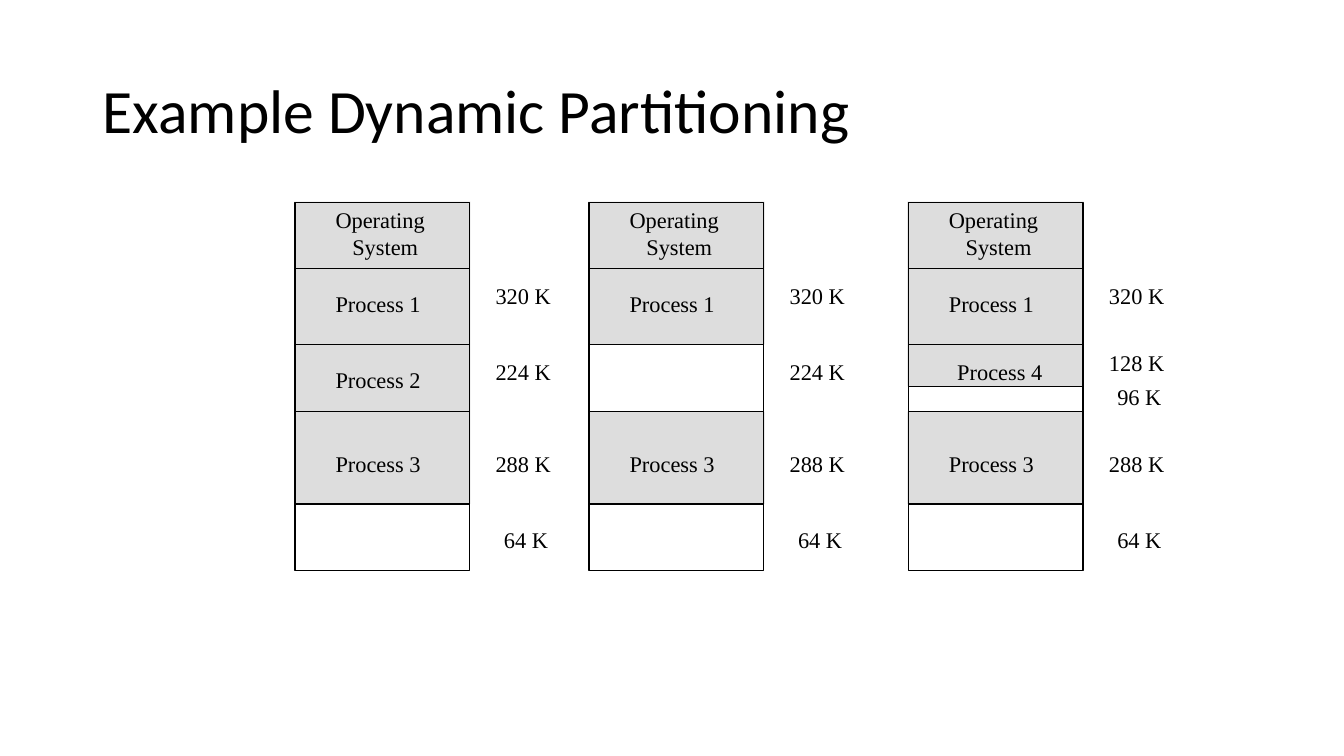
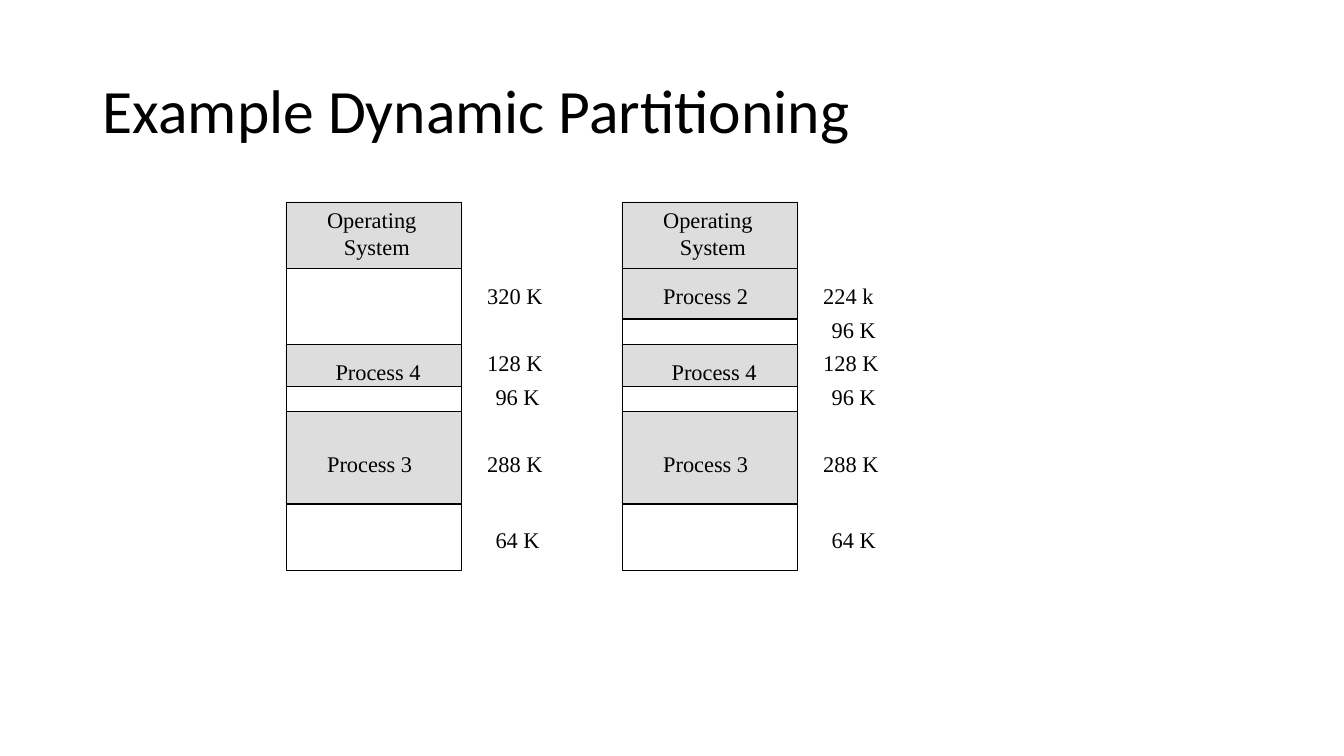
from typing import NamedTuple

from pptx import Presentation
from pptx.dml.color import RGBColor
from pptx.enum.shapes import MSO_CONNECTOR, MSO_SHAPE
from pptx.enum.text import MSO_ANCHOR
from pptx.oxml.ns import qn
from pptx.util import Inches, Pt
from lxml import etree

BLACK, USED = "000000", "DDDDDD"
TITLE = "Example Dynamic Partitioning"
TITLE_STYLE = {"name": "Calibri", "size": Pt(44)}
LABEL_STYLE = {"name": "Times New Roman", "size": Pt(16)}

# Memory columns sit on a grid of twelve units to the inch.
UNIT = 1 / 12
TOP, WIDTH = 24, 21
NAME_DX, SIZE_DX = 3.75, 22.8
EDGE = 0.1  # inset of the outline from the grid


class Block(NamedTuple):
    """A stretch of memory; label offsets are in units from its top."""
    rows: int
    name: str = ""
    name_dy: int = 0
    size: str = ""
    size_dy: int = 0
    name_shift: int = 0


OS = Block(8, "Operating\nSystem")
P1 = Block(9, "Process 1", 2, "320 K", 1)
P2 = Block(8, "Process 2", 2, "224 K", 1)
P2_MOVED = Block(6, "Process 2", 1, "224 k", 1)
P3 = Block(11, "Process 3", 4, "288 K", 4)
P4 = Block(5, "Process 4", 1, "128 K", 0, name_shift=1)
FREE_320 = Block(9, size="320 K", size_dy=1)
FREE_224 = Block(8, size="224 K", size_dy=1)
FREE_96 = Block(3, size="96 K", size_dy=-1)
FREE_64 = Block(8, size="64 K", size_dy=2)

SLIDES = [
    {35: [OS, P1, P2, P3, FREE_64],
     70: [OS, P1, FREE_224, P3, FREE_64],
     108: [OS, P1, P4, FREE_96, P3, FREE_64]},
    {34: [OS, FREE_320, P4, FREE_96, P3, FREE_64],
     74: [OS, P2_MOVED, FREE_96, P4, FREE_96, P3, FREE_64]},
]


def units(n):
    return Inches(n * UNIT)


def color(value):
    return RGBColor.from_string(value)


def add_text(s, text, box, style):
    """Add a text box; later lines are indented by three spaces' width."""
    tf = s.shapes.add_textbox(*box).text_frame
    tf.word_wrap = True
    for i, line in enumerate(text.split("\n")):
        p = tf.add_paragraph() if i else tf.paragraphs[0]
        if i:
            p._p.get_or_add_pPr().set("marL", str(Pt(12)))
        r = p.add_run()
        r.text = line
        for key, value in style.items():
            setattr(r.font, key, value)
        r.font.color.rgb = color(BLACK)
    return tf


def add_title(s, prs):
    box = [int(prs.slide_width * 0.069), Inches(0.4),
           int(prs.slide_width * 0.8625), Inches(1.45)]
    tf = add_text(s, TITLE, box, TITLE_STYLE)
    tf.vertical_anchor = MSO_ANCHOR.MIDDLE
    tf.paragraphs[0].line_spacing = 0.9


def add_rect(s, x, y, w, h, fill=None, line=None):
    sp = s.shapes.add_shape(MSO_SHAPE.RECTANGLE, *map(units, (x, y, w, h)))
    sp.shadow.inherit = False
    if fill:
        sp.fill.solid()
        sp.fill.fore_color.rgb = color(fill)
    else:
        sp.fill.background()
    if line:
        sp.line.color.rgb = color(line)
        sp.line.width = Pt(1)
    else:
        sp.line.fill.background()


def add_divider(s, x, y):
    c = s.shapes.add_connector(
        MSO_CONNECTOR.STRAIGHT,
        *map(units, (x + EDGE, y, x + WIDTH - EDGE, y)))
    c.line.color.rgb = color(BLACK)
    c.line.width = Pt(1)
    etree.SubElement(c._element.spPr, qn("a:effectLst"))


def add_label(s, text, x, y):
    height = 4.4 * (1 + text.count("\n"))
    add_text(s, text, map(units, (x, y, 15, height)), LABEL_STYLE)


def add_memory(s, x, blocks):
    """Stack the blocks, then draw the outline, dividers and labels."""
    tops = [TOP]
    for b in blocks:
        if b.name:
            add_rect(s, x, tops[-1], WIDTH, b.rows, fill=USED)
        tops.append(tops[-1] + b.rows)
    add_rect(s, x + EDGE, TOP + EDGE, WIDTH - 2 * EDGE,
             tops[-1] - TOP - 2 * EDGE, line=BLACK)
    for y in tops[1:-1]:
        add_divider(s, x, y)
    for b, y in zip(blocks, tops):
        if b.name:
            add_label(s, b.name, x + NAME_DX + b.name_shift, y + b.name_dy)
        if b.size:
            shift = len("000 K") - len(b.size)
            add_label(s, b.size, x + SIZE_DX + shift, y + b.size_dy)


def main():
    prs = Presentation()
    prs.slide_width, prs.slide_height = Inches(13.33), Inches(7.5)
    for columns in SLIDES:
        s = prs.slides.add_slide(prs.slide_layouts[6])
        add_title(s, prs)
        for x, blocks in columns.items():
            add_memory(s, x, blocks)
    prs.save("out.pptx")


if __name__ == "__main__":
    main()
